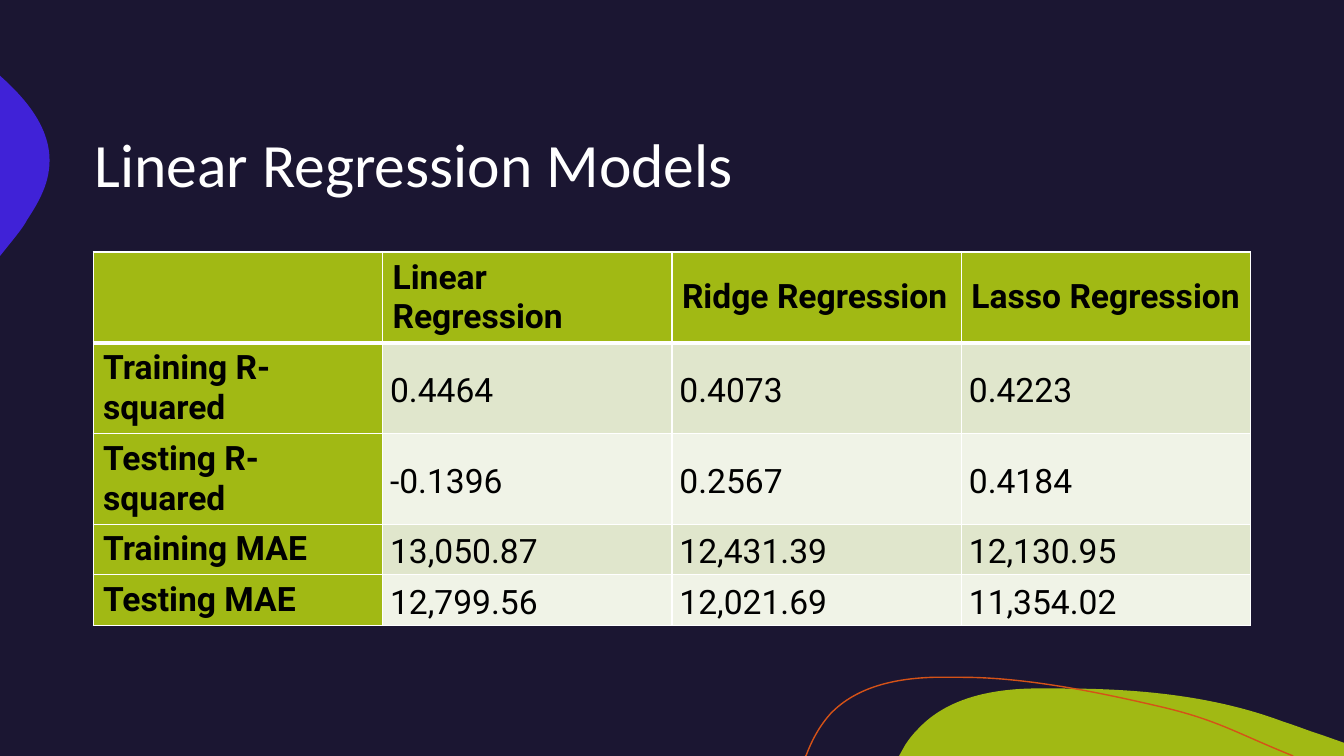
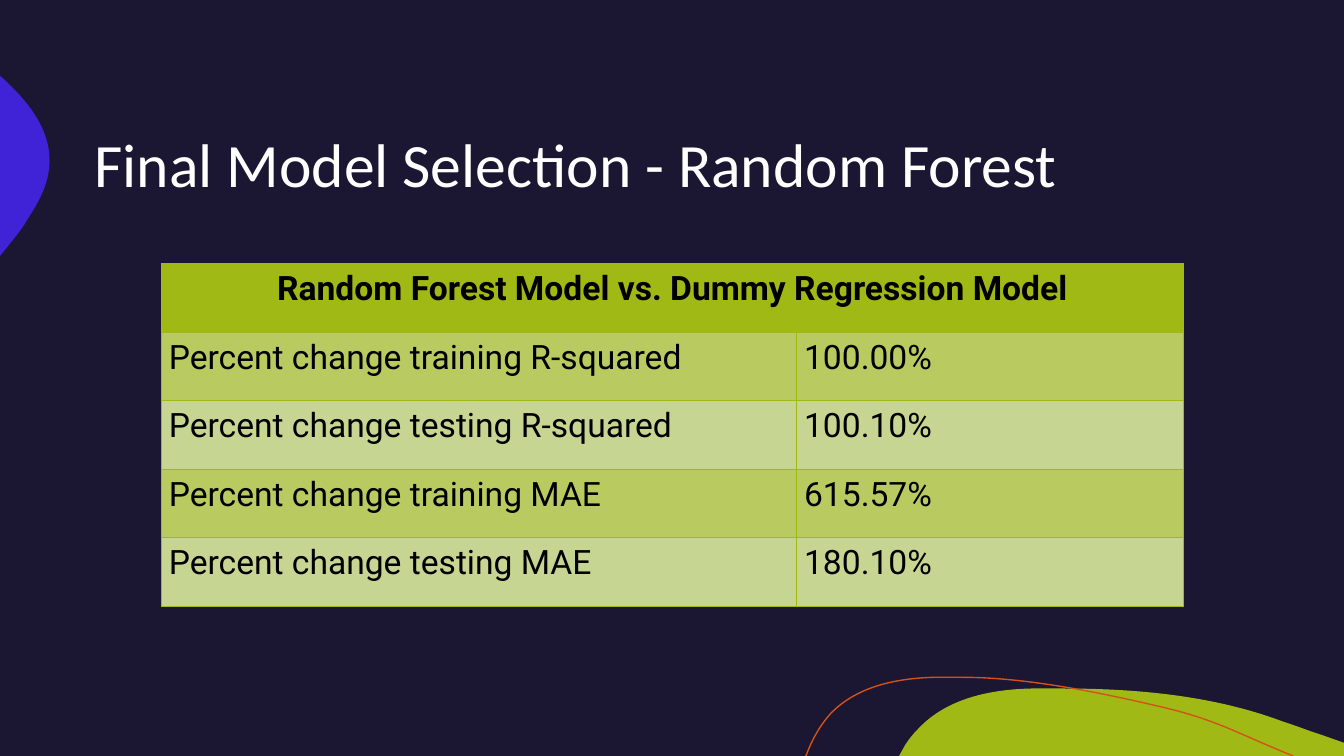
from dataclasses import dataclass

from lxml.etree import SubElement
from pptx import Presentation
from pptx.dml.color import RGBColor
from pptx.enum.text import MSO_ANCHOR, PP_ALIGN
from pptx.oxml import parse_xml
from pptx.oxml.ns import nsdecls, qn
from pptx.util import Pt


@dataclass(frozen=True)
class Theme:
    night: str = "1B1632"
    lime: str = "A1B914"
    violet: str = "4022D7"
    orange: str = "D55217"
    white: str = "FFFFFF"
    black: str = "000000"
    pale_bands: tuple = ("E0E6CC", "F0F3E7")
    lime_bands: tuple = ("B8CA60", "C7D592")
    title_font: str = "Calibri"
    table_font: str = "Roboto"
    title_size: int = 44
    table_size: int = 24


THEME = Theme()

HILL = [
    (758.9, 491.8),
    (812.2, 491.8, 866.9, 496.8, 916.6, 515.5),
    (925.9, 518.4, 934.6, 522, 943.9, 524.9),
    (960, 530.6), (960, 540), (642.2, 540), (646.6, 532.1),
    (649.4, 527.8, 652.3, 524.2, 655.9, 520.6),
    (676.1, 499, 707, 492.5, 736.6, 491.8),
    (743.8, 491.8, 751, 491.8, 758.9, 491.8),
]
BULGE = [
    (0, 54), (0.7, 54.7),
    (21.6, 73.4, 38.9, 95.8, 34.8, 122.4),
    (33.1, 134.6, 26.6, 146.2, 19.4, 157),
    (17.3, 161.3, 12.2, 167.8, 5.8, 175.7),
    (0, 182.9),
]
SWOOSH = [
    (575.3, 540), (576, 539.3),
    (580.3, 527.8, 586.1, 517.7, 593.3, 509.8),
    (612, 490.3, 640.1, 484.6, 666.7, 483.8),
    (687.6, 483.8),
    (735.8, 483.8, 792, 496.1, 831.6, 505.4),
    (870.5, 514.8, 882.7, 523.4, 923.8, 540),
]

REGRESSION_ROWS = [
    ("", "Linear Regression", "Ridge Regression", "Lasso Regression"),
    ("Training R-squared", "0.4464", "0.4073", "0.4223"),
    ("Testing R-squared", "-0.1396", "0.2567", "0.4184"),
    ("Training MAE", "13,050.87", "12,431.39", "12,130.95"),
    ("Testing MAE", "12,799.56", "12,021.69", "11,354.02"),
]
FOREST_ROWS = [
    ("Random Forest Model vs. Dummy Regression Model", ""),
    ("Percent change training R-squared", "100.00%"),
    ("Percent change testing R-squared", "100.10%"),
    ("Percent change training MAE", "615.57%"),
    ("Percent change testing MAE", "180.10%"),
]


def rgb(color):
    return RGBColor.from_string(color)


def bend_segments(sp, segments):
    lines = list(sp._element.iter(qn("a:lnTo")))
    for line, seg in zip(lines, segments[1:]):
        if len(seg) == 6:
            curve = line.makeelement(qn("a:cubicBezTo"))
            for x, y in zip(seg[::2], seg[1::2]):
                pt = SubElement(curve, qn("a:pt"))
                pt.set("x", str(Pt(x) - sp.left))
                pt.set("y", str(Pt(y) - sp.top))
            line.getparent().replace(line, curve)


def add_curve(s, segments, fill=None, line=None):
    points = [(Pt(seg[-2]), Pt(seg[-1])) for seg in segments]
    builder = s.shapes.build_freeform(*points[0])
    builder.add_line_segments(points[1:], close=fill is not None)
    sp = builder.convert_to_shape()
    bend_segments(sp, segments)
    sp.shadow.inherit = False
    if fill:
        sp.fill.solid()
        sp.fill.fore_color.rgb = rgb(fill)
    else:
        sp.fill.background()
    if line:
        sp.line.color.rgb = rgb(line)
        sp.line.width = Pt(1)
    else:
        sp.line.fill.background()


def style_run(p, font, size, color, bold=False):
    for r in p.runs:
        r.font.name = font
        r.font.size = Pt(size)
        r.font.bold = bold
        r.font.color.rgb = rgb(color)


def add_title(s, text):
    tf = s.shapes.add_textbox(Pt(60.3), Pt(60), Pt(840), Pt(120)).text_frame
    tf.word_wrap = True
    tf.vertical_anchor = MSO_ANCHOR.MIDDLE
    tf.text = text
    p = tf.paragraphs[0]
    p.line_spacing = 0.9
    style_run(p, THEME.title_font, THEME.title_size, THEME.white)


def add_slide(prs, title):
    s = prs.slides.add_slide(prs.slide_layouts[6])
    add_curve(s, HILL, fill=THEME.lime)
    add_curve(s, BULGE, fill=THEME.violet)
    add_curve(s, SWOOSH, line=THEME.orange)
    add_title(s, title)
    return s


def set_borders(cell, color, width, **widths):
    tcPr = cell._tc.get_or_add_tcPr()
    for side in "LRTB":
        w = Pt(widths.get(side, width))
        tcPr.append(parse_xml(
            f'<a:ln{side} {nsdecls("a")} w="{w}"><a:solidFill>'
            f'<a:srgbClr val="{color}"/></a:solidFill></a:ln{side}>'
        ))


def fill_cell(cell, text, fill, bold=False, spaced=True, anchor=MSO_ANCHOR.TOP):
    cell.fill.solid()
    cell.fill.fore_color.rgb = rgb(fill)
    cell.vertical_anchor = anchor
    if spaced:
        cell.margin_left = cell.margin_right = Pt(5.4)
        cell.margin_top = cell.margin_bottom = Pt(0)
    if text:
        cell.text_frame.text = text
        p = cell.text_frame.paragraphs[0]
        if spaced:
            p.line_spacing = 1.15
            p.space_after = Pt(8)
        style_run(p, THEME.table_font, THEME.table_size, THEME.black, bold)


def add_grid(s, left, top, widths, row_height, row_count, height):
    shape = s.shapes.add_table(
        row_count, len(widths), Pt(left), Pt(top), Pt(sum(widths)), Pt(height)
    )
    table = shape.table
    table.first_row = table.horz_banding = False
    for col, width in zip(table.columns, widths):
        col.width = Pt(width)
    for row in table.rows:
        row.height = Pt(row_height)
    shape.height = Pt(height)
    return table


def add_regression_table(s):
    table = add_grid(s, 66.5, 180, [206.75] * 4, 29.5, len(REGRESSION_ROWS), 266)
    rules = {0: {"B": 3}, 1: {"T": 3}}
    for i, row in enumerate(REGRESSION_ROWS):
        for j, text in enumerate(row):
            cell = table.cell(i, j)
            head = i == 0 or j == 0
            fill = THEME.lime if head else THEME.pale_bands[(i - 1) % 2]
            set_borders(cell, THEME.white, 1, **rules.get(i, {}))
            fill_cell(cell, text, fill, head, not head, MSO_ANCHOR.MIDDLE)


def add_forest_table(s):
    table = add_grid(s, 115.2, 188.2, [453.8, 276.2], 49, len(FOREST_ROWS), 245)
    for i, row in enumerate(FOREST_ROWS):
        for j, text in enumerate(row):
            cell = table.cell(i, j)
            fill = THEME.lime_bands[(i - 1) % 2] if i else THEME.lime
            set_borders(cell, THEME.lime, 0.5)
            fill_cell(cell, text, fill, bold=i == 0)
    table.cell(0, 0).merge(table.cell(0, 1))
    table.cell(0, 0).text_frame.paragraphs[0].alignment = PP_ALIGN.CENTER


def main():
    prs = Presentation()
    prs.slide_width, prs.slide_height = Pt(960), Pt(540)
    background = prs.slide_master.background.fill
    background.solid()
    background.fore_color.rgb = rgb(THEME.night)
    add_regression_table(add_slide(prs, "Linear Regression Models"))
    add_forest_table(add_slide(prs, "Final Model Selection - Random Forest"))
    prs.save("out.pptx")


if __name__ == "__main__":
    main()
